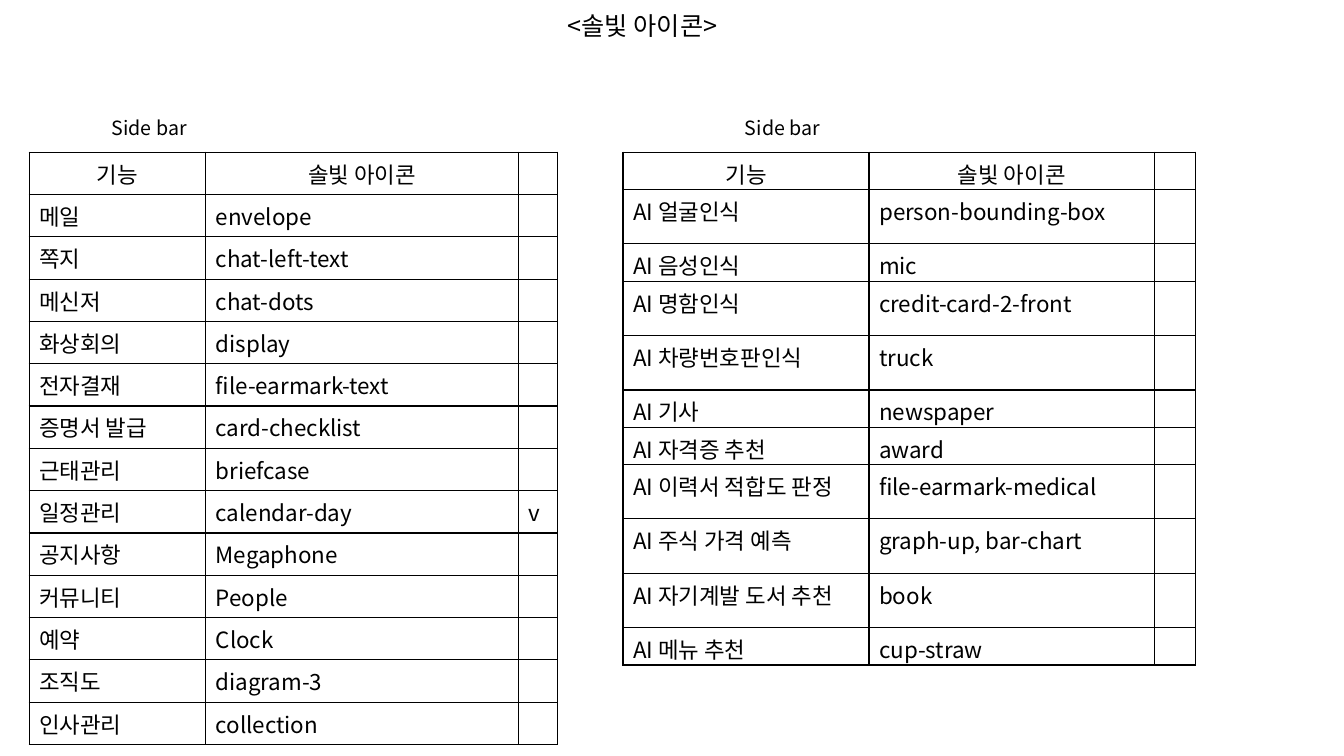
from dataclasses import dataclass

from lxml.etree import SubElement
from pptx import Presentation
from pptx.dml.color import RGBColor
from pptx.enum.text import MSO_ANCHOR, MSO_AUTO_SIZE, PP_ALIGN
from pptx.oxml import parse_xml
from pptx.oxml.ns import nsdecls, qn
from pptx.shapes.base import BaseShape
from pptx.slide import Slide
from pptx.table import _Cell
from pptx.text.text import _Paragraph
from pptx.util import Inches, Pt

BLACK = RGBColor(0, 0, 0)
FONT = "Noto Sans CJK KR"
HEADER = ("기능", "솔빛 아이콘")
TABLE_TOP = 1.51
TALL, SHORT = 0.54, 0.37


@dataclass
class IconTable:
    left: float
    label_left: float
    columns: tuple[float, ...]
    heights: list[float]
    bottom_margin: float
    rows: list[tuple[str, ...]]


ICON_TABLES = [
    IconTable(0.29, 1.01, (1.75, 3.1, 0.39), [0.42] * 14, 0.05, [
        ("메일", "envelope"),
        ("쪽지", "chat-left-text"),
        ("메신저", "chat-dots"),
        ("화상회의", "display"),
        ("전자결재", "file-earmark-text"),
        ("증명서 발급", "card-checklist"),
        ("근태관리", "briefcase"),
        ("일정관리", "calendar-day", "v"),
        ("공지사항", "Megaphone"),
        ("커뮤니티", "People"),
        ("예약", "Clock"),
        ("조직도", "diagram-3"),
        ("인사관리", "collection"),
    ]),
    IconTable(6.18, 7.29, (2.44, 2.83, 0.41),
              [SHORT, TALL, SHORT, TALL, TALL, SHORT, SHORT, TALL, TALL, TALL, SHORT], 0, [
        ("AI 얼굴인식", "person-bounding-box"),
        ("AI 음성인식", "mic"),
        ("AI 명함인식", "credit-card-2-front"),
        ("AI 차량번호판인식", "truck"),
        ("AI 기사", "newspaper"),
        ("AI 자격증 추천", "award"),
        ("AI 이력서 적합도 판정", "file-earmark-medical"),
        ("AI 주식 가격 예측", "graph-up, bar-chart"),
        ("AI 자기계발 도서 추천", "book"),
        ("AI 메뉴 추천", "cup-straw"),
    ]),
]


def add_text(paragraph: _Paragraph, text: str, size: int) -> None:
    """Add one black run in the slide's font."""
    run = paragraph.add_run()
    run.text = text
    run.font.size = Pt(size)
    run.font.name = FONT
    run.font.color.rgb = BLACK
    SubElement(run.font._element, qn("a:ea"), typeface=FONT)


def fill_text_shape(shape: BaseShape, text: str, size: int) -> None:
    """Write one left-aligned line at the top of a text shape."""
    frame = shape.text_frame
    frame.word_wrap = True
    frame.auto_size = MSO_AUTO_SIZE.SHAPE_TO_FIT_TEXT
    frame.vertical_anchor = MSO_ANCHOR.TOP
    frame.paragraphs[0].alignment = PP_ALIGN.LEFT
    add_text(frame.paragraphs[0], text, size)


def format_cell(cell: _Cell, text: str, centred: bool, bottom_margin: float) -> None:
    """Write a cell and give it thin black borders."""
    cell.margin_bottom = Inches(bottom_margin)
    cell.fill.background()
    paragraph = cell.text_frame.paragraphs[0]
    if centred:
        paragraph.alignment = PP_ALIGN.CENTER
    if text:
        add_text(paragraph, text, 16)
    else:
        ending = SubElement(paragraph._p, qn("a:endParaRPr"), sz="1600")
        for script in ("a:latin", "a:ea"):
            SubElement(ending, qn(script), typeface=FONT)
    properties = cell._tc.get_or_add_tcPr()
    for index, side in enumerate(("lnL", "lnR", "lnT", "lnB")):
        properties.insert(index, parse_xml(
            f'<a:{side} {nsdecls("a")} w="{Pt(1)}"><a:solidFill>'
            f'<a:srgbClr val="{BLACK}"/></a:solidFill></a:{side}>'))


def add_icon_table(slide: Slide, icon_table: IconTable) -> None:
    """Draw one icon table with its label."""
    label = slide.shapes.add_textbox(
        Inches(icon_table.label_left), Inches(1.1), Inches(4.87), Inches(0.34))
    fill_text_shape(label, "Side bar", 14)
    rows = [HEADER, *icon_table.rows]
    table = slide.shapes.add_table(
        len(rows), len(icon_table.columns), Inches(icon_table.left), Inches(TABLE_TOP),
        Inches(sum(icon_table.columns)), Inches(sum(icon_table.heights))).table
    table.first_row = table.horz_banding = False
    for column, width in zip(table.columns, icon_table.columns):
        column.width = Inches(width)
    for row_index, (texts, height) in enumerate(zip(rows, icon_table.heights)):
        row = table.rows[row_index]
        row.height = Inches(height)
        for column_index, cell in enumerate(row.cells):
            text = texts[column_index] if column_index < len(texts) else ""
            format_cell(cell, text, row_index == 0, icon_table.bottom_margin)


def main() -> None:
    """Build and save the icon overview slide."""
    presentation = Presentation()
    presentation.slide_width = Inches(13.33)
    presentation.slide_height = Inches(7.5)
    slide = presentation.slides.add_slide(presentation.slide_layouts[5])
    title = slide.shapes.title
    title.left, title.top = Inches(5.53), Inches(0.05)
    title.width, title.height = Inches(2.55), Inches(0.4)
    fill_text_shape(title, "<솔빛 아이콘>", 18)
    for icon_table in ICON_TABLES:
        add_icon_table(slide, icon_table)
    presentation.save("out.pptx")


if __name__ == "__main__":
    main()
